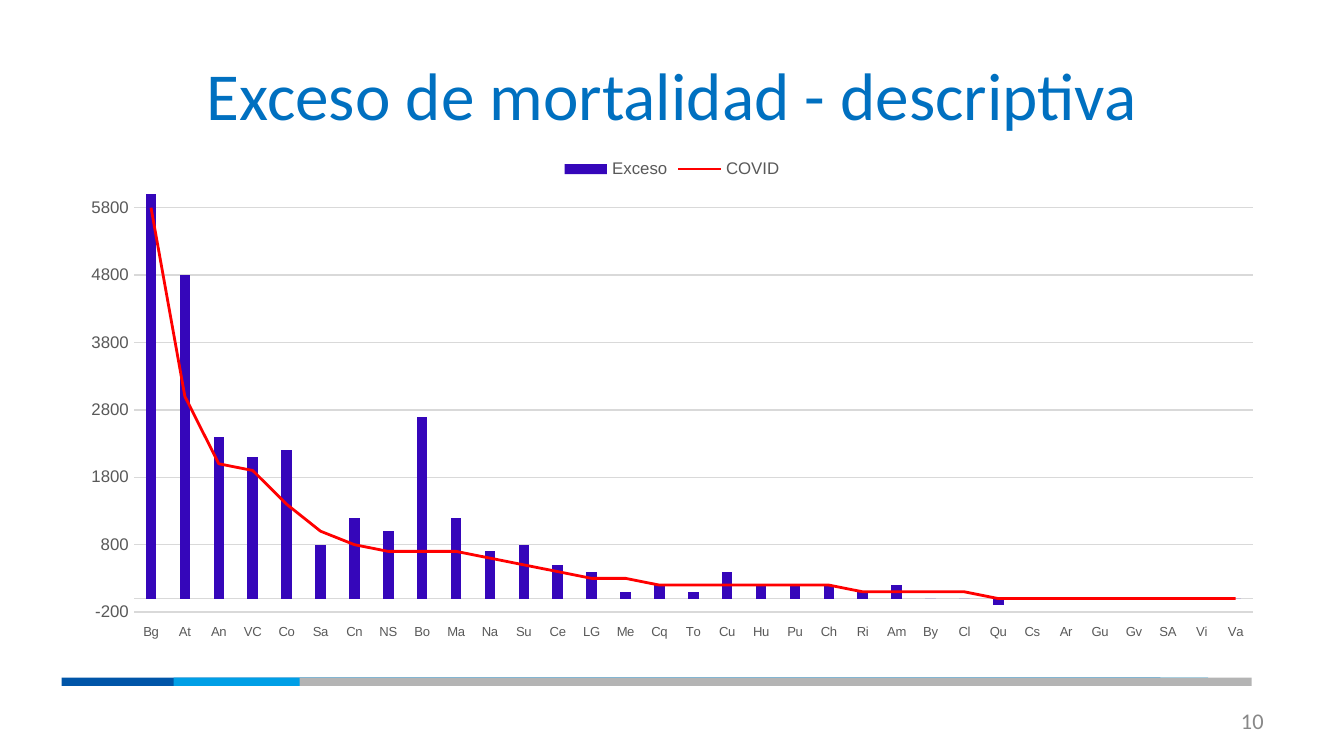
from dataclasses import dataclass

from lxml.etree import SubElement
from pptx import Presentation
from pptx.chart.data import CategoryChartData
from pptx.dml.color import RGBColor
from pptx.enum.chart import XL_CHART_TYPE as ChartType
from pptx.enum.chart import XL_LEGEND_POSITION as LegendPosition
from pptx.enum.chart import XL_MARKER_STYLE as MarkerStyle
from pptx.enum.chart import XL_TICK_LABEL_POSITION as LabelPosition
from pptx.enum.chart import XL_TICK_MARK as TickMark
from pptx.enum.shapes import MSO_SHAPE as ShapeKind
from pptx.enum.text import MSO_ANCHOR as Anchor
from pptx.enum.text import PP_ALIGN as Align
from pptx.oxml.ns import qn
from pptx.util import Pt

EMU_PER_PX = 9525


@dataclass(frozen=True)
class Theme:
    title_font: str = "Calibri"
    chart_font: str = "Arial"
    title: str = "0070C0"
    page_number: str = "888888"
    chart_base: str = "000000"
    chart_text: str = "595959"
    grid: str = "D9D9D9"
    excess: str = "3506BA"
    covid: str = "FF0000"
    band_dark: str = "0055A8"
    band_light: str = "009FE6"
    band_gray: str = "B4B4B4"
    title_size: int = 36
    number_size: int = 12
    chart_size: int = 10
    axis_size: int = 9
    category_size: int = 7


THEME = Theme()

DEPARTMENTS = (
    "Bg At An VC Co Sa Cn NS Bo Ma Na Su Ce LG Me Cq To "
    "Cu Hu Pu Ch Ri Am By Cl Qu Cs Ar Gu Gv SA Vi Va"
).split()
EXCESS = [
    6000, 4800, 2400, 2100, 2200, 800, 1200, 1000, 2700, 1200, 700,
    800, 500, 400, 100, 200, 100, 400, 200, 200, 200, 100,
    200, 0, 0, -100, 0, 0, 0, 0, 0, 0, 0,
]
COVID = [
    5800, 3000, 2000, 1900, 1400, 1000, 800, 700, 700, 700, 600,
    500, 400, 300, 300, 200, 200, 200, 200, 200, 200, 100,
    100, 100, 100, 0, 0, 0, 0, 0, 0, 0, 0,
]


def px(length):
    return length * EMU_PER_PX


def color(value):
    return RGBColor.from_string(value)


def style_font(font, name, size, value):
    font.name = name
    font.size = Pt(size)
    font.bold = False
    font.color.rgb = color(value)


def style_line(line, value, width):
    line.color.rgb = color(value)
    line.width = Pt(width)


def write_text(shape, text, size, value, align):
    frame = shape.text_frame
    frame.word_wrap = True
    frame.vertical_anchor = Anchor.MIDDLE
    paragraph = frame.paragraphs[0]
    paragraph.alignment = align
    run = paragraph.add_run()
    run.text = text
    style_font(run.font, THEME.title_font, size, value)


def set_title(slide, text):
    title = slide.shapes.title
    title.left, title.top, title.width, title.height = map(px, (48, 22, 864, 90))
    write_text(title, text, THEME.title_size, THEME.title, Align.CENTER)


def add_page_number(slide, text):
    box = slide.shapes.add_textbox(px(688), px(500), px(224), px(29))
    write_text(box, text, THEME.number_size, THEME.page_number, Align.RIGHT)


def add_band(slide, left, width, value):
    band = slide.shapes.add_shape(
        ShapeKind.RECTANGLE, px(left), px(484), px(width), px(6)
    )
    band.shadow.inherit = False
    band.fill.solid()
    band.fill.fore_color.rgb = color(value)
    band.line.fill.background()


def move_last_series_to_line(chart):
    bar_plot = chart.plots[0]._element
    series = bar_plot.findall(qn("c:ser"))[-1]
    for bar_setting in series.findall(qn("c:invertIfNegative")):
        series.remove(bar_setting)
    line_plot = bar_plot.makeelement(qn("c:lineChart"))
    bar_plot.addnext(line_plot)
    SubElement(line_plot, qn("c:grouping")).set("val", "standard")
    SubElement(line_plot, qn("c:varyColors")).set("val", "0")
    line_plot.append(series)
    SubElement(line_plot, qn("c:marker")).set("val", "1")
    for axis in bar_plot.findall(qn("c:axId")):
        SubElement(line_plot, qn("c:axId")).set("val", axis.get("val"))


def style_axis(axis, size):
    axis.major_tick_mark = TickMark.NONE
    axis.minor_tick_mark = TickMark.NONE
    style_font(axis.tick_labels.font, THEME.chart_font, size, THEME.chart_text)


def style_axes(chart):
    categories = chart.category_axis
    style_axis(categories, THEME.category_size)
    categories.tick_label_position = LabelPosition.LOW
    categories.has_major_gridlines = False
    style_line(categories.format.line, THEME.grid, 0.75)

    values = chart.value_axis
    style_axis(values, THEME.axis_size)
    values.minimum_scale = -200
    values.maximum_scale = 6000
    values.major_unit = 1000
    values.tick_labels.number_format = "0"
    values.tick_labels.number_format_is_linked = False
    values.format.line.fill.background()
    style_line(values.major_gridlines.format.line, THEME.grid, 0.75)


def style_series(chart):
    bars, lines = chart.plots
    bars.vary_by_categories = False
    bars.gap_width = 219
    bars.overlap = -27
    excess = bars.series[0]
    excess.invert_if_negative = False
    excess.format.fill.solid()
    excess.format.fill.fore_color.rgb = color(THEME.excess)
    covid = lines.series[0]
    covid.smooth = False
    covid.marker.style = MarkerStyle.NONE
    style_line(covid.format.line, THEME.covid, 1.5)


def add_mortality_chart(slide):
    data = CategoryChartData(number_format="0")
    data.categories = DEPARTMENTS
    data.add_series("Exceso", EXCESS)
    data.add_series("COVID", COVID)
    chart = slide.shapes.add_chart(
        ChartType.COLUMN_CLUSTERED, px(48), px(103), px(864), px(361), data
    ).chart
    chart.has_title = False
    style_font(chart.font, THEME.chart_font, THEME.chart_size, THEME.chart_base)
    move_last_series_to_line(chart)
    style_series(chart)
    style_axes(chart)
    chart.has_legend = True
    legend = chart.legend
    legend.position = LegendPosition.TOP
    legend.include_in_layout = False
    style_font(legend.font, THEME.chart_font, THEME.axis_size, THEME.chart_text)


def main():
    presentation = Presentation()
    presentation.slide_width = px(960)
    presentation.slide_height = px(540)
    slide = presentation.slides.add_slide(presentation.slide_layouts[5])
    add_page_number(slide, "10")
    add_band(slide, 44, 785, THEME.band_dark)
    add_band(slide, 124, 739, THEME.band_light)
    add_band(slide, 214, 680, THEME.band_gray)
    set_title(slide, "Exceso de mortalidad - descriptiva")
    add_mortality_chart(slide)
    presentation.save("out.pptx")


if __name__ == "__main__":
    main()
